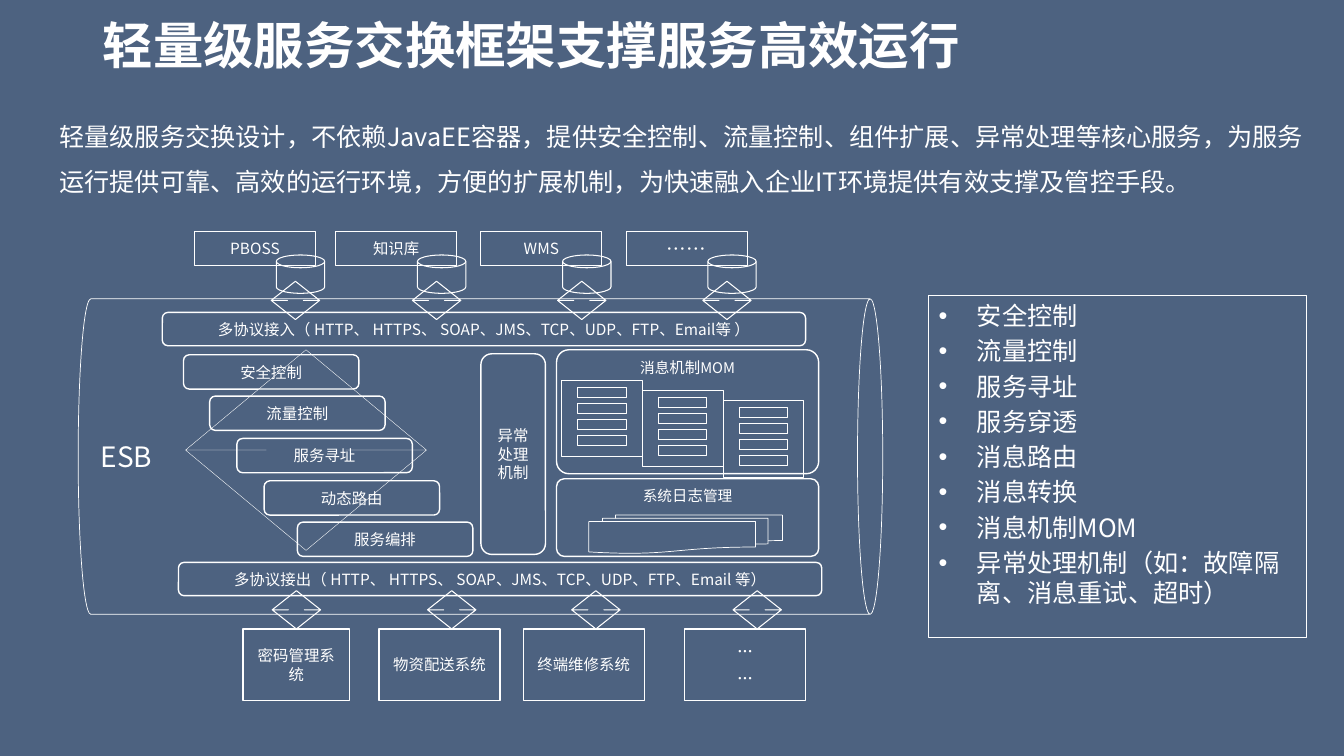
from lxml import etree
from pptx import Presentation
from pptx import util as u
from pptx.dml import color
from pptx.enum import shapes, text
from pptx.oxml import ns

COLORS = {"ground": "4D6280", "ink": "FFFFFF"}
FONT = "Noto Sans CJK SC"
KIND = shapes.MSO_SHAPE
ALIGN = text.PP_ALIGN
ANCHOR = text.MSO_ANCHOR
ARROW = (0.5, 0.33)


class SlideSketch:
    """Draws outlined shapes and white text in one style on the current slide."""

    def __init__(self, deck):
        self.slide = deck.slides.add_slide(deck.slide_layouts[6])
        fill = self.slide.background.fill
        fill.solid()
        fill.fore_color.rgb = self.rgb("ground")

    def rgb(self, name):
        return color.RGBColor.from_string(COLORS[name])

    def shape(self, kind, at, line=0.75, adjust=(), home=None):
        item = (home or self.slide).shapes.add_shape(kind, *map(u.Inches, at))
        item.shadow.inherit = False
        item.fill.background()
        item.line.color.rgb = self.rgb("ink")
        item.line.width = u.Pt(line)
        for index, value in enumerate(adjust):
            item.adjustments[index] = value
        return item

    def label(self, item, paras, size=11, bold=False, bullet=False, inset=None, frame=None, layout=None):
        body = item.text_frame
        frame_style = {"word_wrap": True, "vertical_anchor": ANCHOR.MIDDLE, **(frame or {})}
        if inset is not None:
            sides = ("left", "top", "right", "bottom")
            frame_style.update({f"margin_{side}": u.Inches(inset) for side in sides})
        for name, value in frame_style.items():
            setattr(body, name, value)
        for index, spans in enumerate(paras):
            para = body.add_paragraph() if index else body.paragraphs[0]
            if bullet:
                self.bullet(para)
            para_style = {"alignment": ALIGN.CENTER, **(layout or {})}
            if not index:
                para_style["space_before"] = u.Pt(0)
            for name, value in para_style.items():
                setattr(para, name, value)
            for words, points in [(spans, size)] if isinstance(spans, str) else spans:
                self.span(para, words, points, bold)

    def span(self, para, words, points, bold):
        span = para.add_run()
        span.text = words
        for name, value in {"name": FONT, "size": u.Pt(points), "bold": bold}.items():
            setattr(span.font, name, value)
        span.font.color.rgb = self.rgb("ink")
        etree.SubElement(span.font._element, ns.qn("a:ea"), typeface=FONT)

    def bullet(self, para):
        props = para._p.get_or_add_pPr()
        props.set("marL", str(u.Inches(0.38)))
        props.set("indent", str(-u.Inches(0.38)))
        etree.SubElement(props, ns.qn("a:buFont"), typeface="Arial")
        etree.SubElement(props, ns.qn("a:buChar"), char="•")

    def textbox(self, at, words, **style):
        self.label(self.slide.shapes.add_textbox(*map(u.Inches, at)), [words], **style)

    def rounded(self, at, paras, adjust=(), **style):
        self.label(self.shape(KIND.ROUNDED_RECTANGLE, at, 1, adjust), paras, **style)

    def arrow(self, left, top):
        self.shape(KIND.UP_DOWN_ARROW, (left, top, 0.48, 0.38), adjust=ARROW)

    def bus(self, at):
        tube = self.shape(KIND.CAN, at, 0.5, (0.08,))
        tube.rotation = 90
        self.label(tube, ["ESB"], size=20, layout={"alignment": ALIGN.LEFT})
        tube.text_frame._txBody.bodyPr.set("vert", "vert270")

    def client(self, left, name, size):
        box = self.shape(KIND.RECTANGLE, (left, 2.3, 1.2, 0.33))
        self.label(box, [name], size=size, frame={"word_wrap": False})
        self.shape(KIND.FLOWCHART_MAGNETIC_DISK, (left + 0.81, 2.53, 0.48, 0.38))
        self.arrow(left + 0.76, 2.79)

    def backend(self, left, width, arrow_left, paras, bold):
        box = self.shape(KIND.RECTANGLE, (left, 6.24, width, 0.71), 1)
        self.label(box, paras, bold=bold, inset=0.1, layout={"space_before": u.Pt(5.5)})
        self.arrow(arrow_left, 5.86)

    def queue(self, left, top):
        group = self.slide.shapes.add_group_shape()
        self.shape(KIND.RECTANGLE, (left, top, 0.8, 0.76), 0.25, home=group)
        for row in range(4):
            slot = (left + 0.16, top + 0.07 + 0.16 * row, 0.48, 0.1)
            self.shape(KIND.RECTANGLE, slot, home=group)


def main():
    deck = Presentation()
    deck.slide_width, deck.slide_height = u.Inches(13.33), u.Inches(7.5)
    page = SlideSketch(deck)
    left_aligned = {"alignment": ALIGN.LEFT}
    top_anchor = {"vertical_anchor": ANCHOR.TOP}

    page.textbox((0.92, 0.13, 11.5, 0.7), "轻量级服务交换框架支撑服务高效运行", size=36, bold=True,
                 layout={**left_aligned, "line_spacing": 0.9})
    page.textbox(
        (0.49, 1, 12.62, 1.02),
        "轻量级服务交换设计，不依赖JavaEE容器，提供安全控制、流量控制、组件扩展、异常处理等核心服务，"
        "为服务运行提供可靠、高效的运行环境，方便的扩展机制，为快速融入企业IT环境提供有效支撑及管控手段。",
        size=18, frame=top_anchor, layout={**left_aligned, "line_spacing": 1.5})

    page.bus((3.2, 0.54, 3.13, 7.98))
    page.rounded((1.61, 3.1, 6.38, 0.33), ["多协议接入（ HTTP、 HTTPS、 SOAP、JMS、TCP、UDP、FTP、Email等 ）"])
    page.rounded((1.77, 5.58, 6.38, 0.33), ["多协议接出（ HTTP、 HTTPS、 SOAP、JMS、TCP、UDP、FTP、Email 等）"])

    clients = [(1.93, "PBOSS", 11), (3.33, "知识库", 11), (4.77, "WMS", 11), (6.21, "……", 14)]
    for client in clients:
        page.client(*client)

    steps = [(1.82, 3.52, "安全控制"), (2.08, 3.93, "流量控制"), (2.35, 4.35, "服务寻址"),
             (2.62, 4.77, "动态路由"), (2.95, 5.18, "服务编排")]
    for left, top, name in steps:
        page.rounded((left, top, 1.74, 0.34), [name])
    page.shape(KIND.UP_DOWN_ARROW, (1.84, 3.47, 2.39, 1.99), 0.25, ARROW)
    page.rounded((4.77, 3.51, 0.64, 1.99), ["异常处理机制"])

    panels = [(3.47, 1.23, [("消息", 10.5), ("机制", 11), ("MOM", 10.5)]),
              (4.75, 0.77, [("系统", 10.5), ("日志", 11), ("管理", 10.5)])]
    for top, height, heading in panels:
        page.rounded((5.52, top, 2.6, height), [heading], adjust=(0.1,), frame=top_anchor)
    for index in range(3):
        page.queue(5.57 + 0.8 * index, 3.77 + 0.1 * index)
    page.shape(KIND.FLOWCHART_MULTIDOCUMENT, (5.84, 5.11, 1.92, 0.38), 0.5)

    backends = [(2.41, 1.06, 2.7, ["密码管理系统"], False), (3.76, 1.2, 4.24, ["物资配送系统"], False),
                (5.19, 1.2, 5.67, ["终端维修系统"], False), (6.79, 1.2, 7.27, ["…", "…"], True)]
    for backend in backends:
        page.backend(*backend)

    features = ["安全控制", "流量控制", "服务寻址", "服务穿透", "消息路由", "消息转换", "消息机制MOM",
                "异常处理机制（如：故障隔离、消息重试、超时）"]
    page.label(page.shape(KIND.RECTANGLE, (9.21, 2.93, 3.75, 3.39)), features, size=18, bullet=True,
               frame=top_anchor, layout={**left_aligned, "space_before": u.Pt(3.6)})
    deck.save("out.pptx")


if __name__ == "__main__":
    main()
